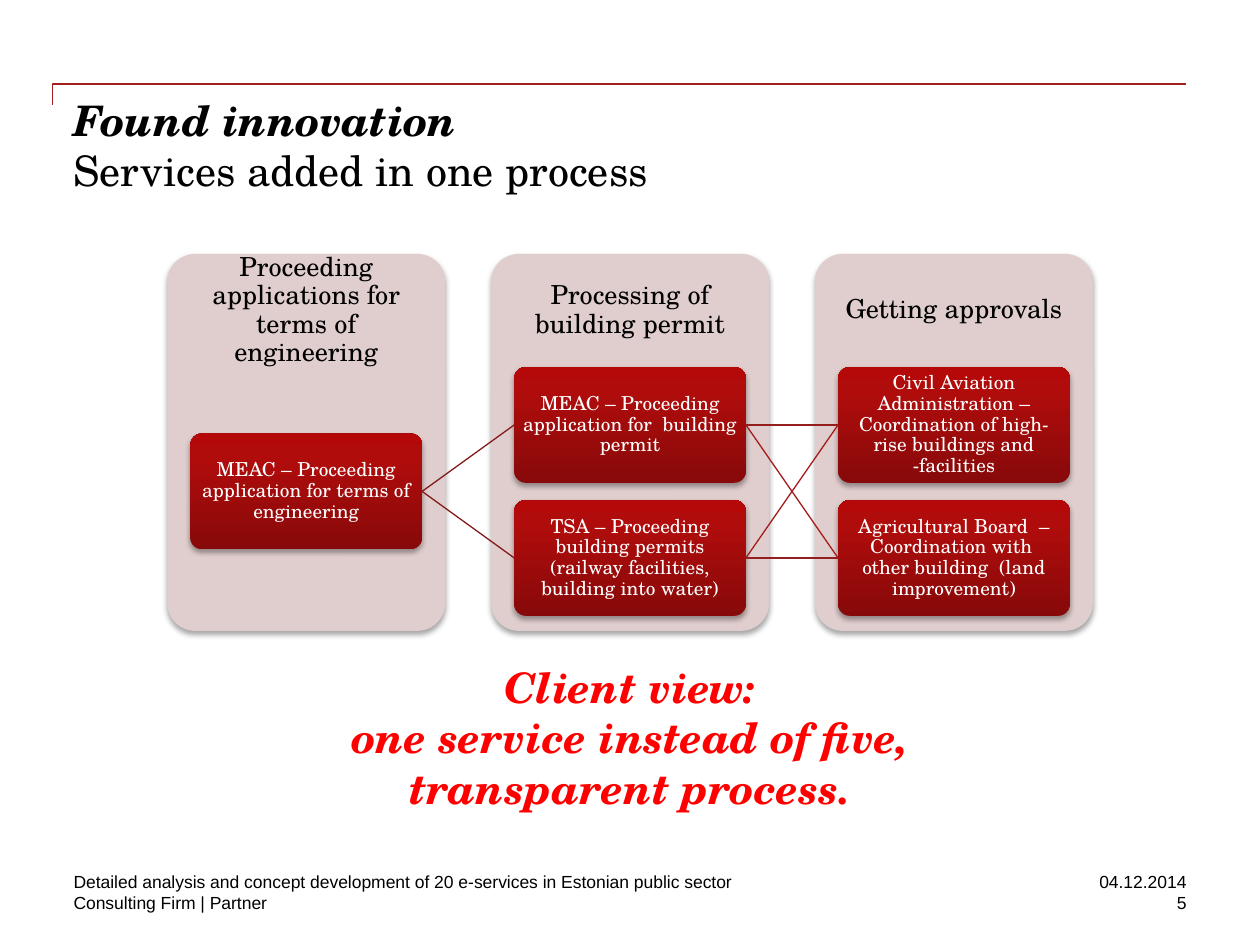
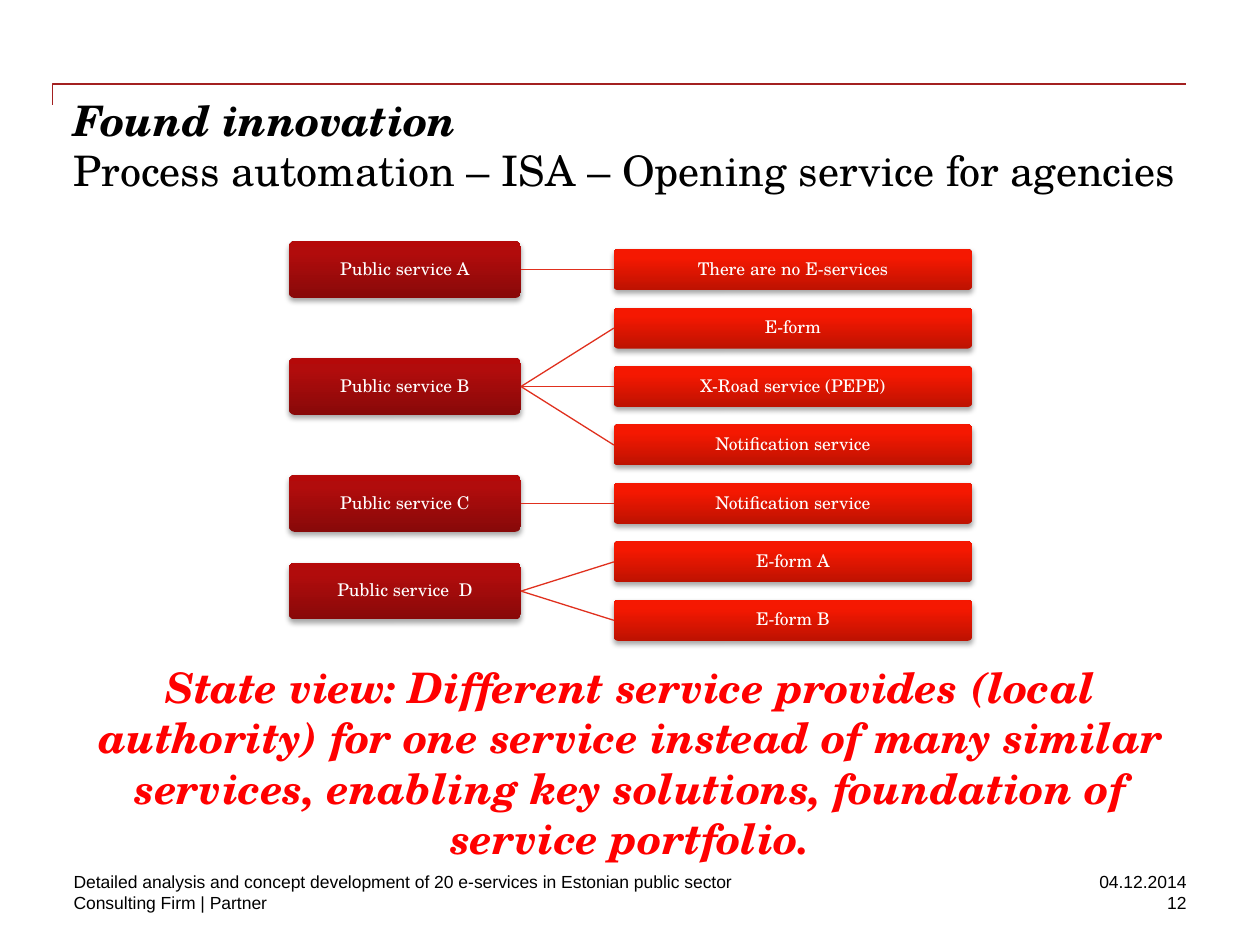
from dataclasses import dataclass
from pptx import Presentation
from pptx.dml.color import RGBColor
from pptx.enum.shapes import MSO_CONNECTOR, MSO_SHAPE
from pptx.enum.text import MSO_ANCHOR as Anchor, PP_ALIGN as Align
from pptx.oxml import parse_xml
from pptx.oxml.ns import nsdecls, qn
from pptx.util import Pt


@dataclass(frozen=True)
class Theme:
    serif: str = "TeX Gyre Schola"
    sans: str = "Arial"
    black: str = "000000"
    white: str = "FFFFFF"
    accent: str = "FF0000"
    rule: str = "A32020"
    panel: str = "E0CDCD"
    dark: tuple = ((0, "880909"), (80, "B10C0C"), (100, "B50909"))
    bright: tuple = ((0, "BD1201"), (80, "F51801"), (100, "F71700"))
    first_link: str = "831A1A"
    level_link: str = "941D1D"
    cross_link: str = "A31C1C"
    tree_link: str = "E0301E"
    title_size: int = 24
    header_size: int = 15
    step_size: int = 11
    small_size: int = 10


THEME = Theme()
LEFT, CONTENT_WIDTH = 42, 636
STAGES = [
    ("Proceeding applications for terms of engineering",
     ["MEAC – Proceeding application for terms of engineering"]),
    ("Processing of building permit",
     ["MEAC – Proceeding application for  building permit",
      "TSA – Proceeding building permits (railway facilities, building into water)"]),
    ("Getting approvals",
     ["Civil Aviation Administration – Coordination of high-rise buildings and -facilities",
      "Agricultural Board  – Coordination with  other building  (land improvement)"]),
]
SERVICES = [
    ("Public service A", ["There are no E-services"]),
    ("Public service B", ["E-form", "X-Road service (PEPE)", "Notification service"]),
    ("Public service C", ["Notification service"]),
    ("Public service  D", ["E-form A", "E-form B"]),
]


def write(frame, text, size, color=THEME.black, font=THEME.serif, align=Align.LEFT,
          anchor=Anchor.TOP, inset=0, spacing=None, strong=False):
    """Fill a text frame; strong means bold italic."""
    frame.text = text
    frame.word_wrap = True
    frame.vertical_anchor = anchor
    frame.margin_left = frame.margin_right = Pt(inset)
    frame.margin_top = frame.margin_bottom = Pt(inset)
    for paragraph in frame.paragraphs:
        paragraph.alignment = align
        if spacing:
            paragraph.line_spacing = spacing
        for run in paragraph.runs:
            run.font.name, run.font.size = font, Pt(size)
            run.font.color.rgb = RGBColor.from_string(color)
            run.font.bold = run.font.italic = strong


def add_text(slide, box, text, size, **style):
    frame = slide.shapes.add_textbox(*map(Pt, box)).text_frame
    write(frame, text, size, **style)
    return frame


def add_card(slide, box):
    """Add an unfilled rounded rectangle with a soft shadow below it."""
    card = slide.shapes.add_shape(MSO_SHAPE.ROUNDED_RECTANGLE, *map(Pt, box))
    card.adjustments[0] = 0.1
    card.line.fill.background()
    card.shadow.inherit = False
    card._element.spPr.find(qn("a:effectLst")).append(parse_xml(
        f'<a:outerShdw {nsdecls("a")} blurRad="{Pt(3.1)}" dist="{Pt(1.8)}" dir="5400000" '
        f'rotWithShape="0"><a:srgbClr val="{THEME.black}"><a:alpha val="35000"/>'
        '</a:srgbClr></a:outerShdw>'))
    return card


def add_node(slide, box, text, size, gradient):
    node = add_card(slide, box)
    stops = "".join(f'<a:gs pos="{percent * 1000}"><a:srgbClr val="{color}"/></a:gs>'
                    for percent, color in gradient)
    node._element.spPr.find(qn("a:prstGeom")).addnext(parse_xml(
        f'<a:gradFill {nsdecls("a")} rotWithShape="1"><a:gsLst>{stops}</a:gsLst>'
        '<a:lin ang="16200000" scaled="0"/></a:gradFill>'))
    write(node.text_frame, text, size, color=THEME.white, align=Align.CENTER,
          anchor=Anchor.MIDDLE, inset=2.5, spacing=0.9)
    return node


def link(slide, source, target, color):
    """Join the right side of source to the left side of target."""
    connector = slide.shapes.add_connector(MSO_CONNECTOR.STRAIGHT, 0, 0, 0, 0)
    connector.begin_connect(source, 3)
    connector.end_connect(target, 1)
    connector.line.color.rgb = RGBColor.from_string(color)
    connector.line.width = Pt(0.75)
    connector._element.spPr.append(parse_xml(f'<a:effectLst {nsdecls("a")}/>'))


def add_title_rule(slide, left, top, width, drop):
    outline = slide.shapes.build_freeform(Pt(left), Pt(top + drop))
    outline.add_line_segments([(Pt(left), Pt(top)), (Pt(left + width), Pt(top))], close=False)
    rule = outline.convert_to_shape()
    rule.fill.background()
    rule.line.color.rgb = RGBColor.from_string(THEME.rule)
    rule.line.width = Pt(1)
    rule.shadow.inherit = False


def add_title(slide, box, subtitle):
    frame = add_text(slide, box, f"Found innovation\n{subtitle}", THEME.title_size)
    lead = frame.paragraphs[0].runs[0].font
    lead.bold = lead.italic = True


def add_footer(slide, box, number):
    left, top, width, height = box
    line_height = height / 2
    rows = [("Detailed analysis and concept development of 20 e-services in Estonian public sector",
             "04.12.2014"),
            ("Consulting Firm | Partner", str(number))]
    for row, (note, reference) in enumerate(rows):
        y = top + row * line_height
        for x, span, text, align in ((left, 414, note, Align.LEFT),
                                     (left + width - 120, 120, reference, Align.RIGHT)):
            add_text(slide, (x, y, span, line_height), text, THEME.small_size,
                     font=THEME.sans, align=align)


def add_base_slide(deck, subtitle, conclusion, number):
    """Add a slide with the shared rule, title, conclusion and footer."""
    slide = deck.slides.add_slide(deck.slide_layouts[6])
    add_title_rule(slide, 30, 48, 648, 12)
    add_title(slide, (LEFT, 54, CONTENT_WIDTH, 72), subtitle)
    add_text(slide, (LEFT, 378, CONTENT_WIDTH, 110), conclusion, THEME.title_size,
             color=THEME.accent, align=Align.CENTER, strong=True)
    add_footer(slide, (LEFT, 498, CONTENT_WIDTH, 24), number)
    return slide


def add_stage(slide, box, heading, steps):
    """Draw one panel with its steps centred below the heading; return the steps."""
    left, top, width, height = box
    header_height = height * 0.3
    side, step_height, pitch = 13.2, 66.2, 76
    panel = add_card(slide, box)
    panel.fill.solid()
    panel.fill.fore_color.rgb = RGBColor.from_string(THEME.panel)
    add_text(slide, (left, top, width, header_height), heading, THEME.header_size,
             align=Align.CENTER, anchor=Anchor.MIDDLE, inset=8.64, spacing=0.9)
    first = top + header_height + (2 - len(steps)) * pitch / 2
    return [add_node(slide, (left + side, first + i * pitch, width - 2 * side, step_height),
                     step, THEME.step_size, THEME.dark)
            for i, step in enumerate(steps)]


def add_process(slide, box):
    left, top, width, height = box
    panel_width = 158.8
    pitch = (width - panel_width) / (len(STAGES) - 1)
    start, permits, approvals = [
        add_stage(slide, (left + i * pitch, top, panel_width, height), *stage)
        for i, stage in enumerate(STAGES)]
    for permit in permits:
        link(slide, start[0], permit, THEME.first_link)
    for i, permit in enumerate(permits):
        for j, approval in enumerate(approvals):
            link(slide, permit, approval, THEME.level_link if i == j else THEME.cross_link)


def add_service_tree(slide, box):
    """Stack the channels on the right and centre each service on its own channels."""
    left, top, width, height = box
    service_width, service_height = 132.6, 32.4
    channel_width, channel_height = 204.6, 23.4
    total = sum(len(channels) for _, channels in SERVICES)
    pitch = (height - channel_height) / (total - 1)
    row = 0
    for service, channels in SERVICES:
        middle = top + channel_height / 2 + (row + (len(channels) - 1) / 2) * pitch
        parent = add_node(slide, (left, middle - service_height / 2, service_width, service_height),
                          service, THEME.small_size, THEME.dark)
        for channel in channels:
            child = add_node(slide, (left + width - channel_width, top + row * pitch,
                                     channel_width, channel_height),
                             channel, THEME.small_size, THEME.bright)
            link(slide, parent, child, THEME.tree_link)
            row += 1


def main():
    deck = Presentation()
    deck.slide_width, deck.slide_height = Pt(720), Pt(540)
    process = add_base_slide(
        deck, "Services added in one process",
        "Client view:\vone service instead of five,\vtransparent process.", 5)
    add_process(process, (95.6, 145.1, 528.9, 215.4))
    automation = add_base_slide(
        deck, "Process automation – ISA – Opening service for agencies",
        "State view: Different service provides (local authority) for one service instead of "
        "many similar services, enabling key solutions, foundation of service portfolio.", 12)
    add_service_tree(automation, (165.1, 142.4, 390.3, 223.8))
    deck.save("out.pptx")


if __name__ == "__main__":
    main()
